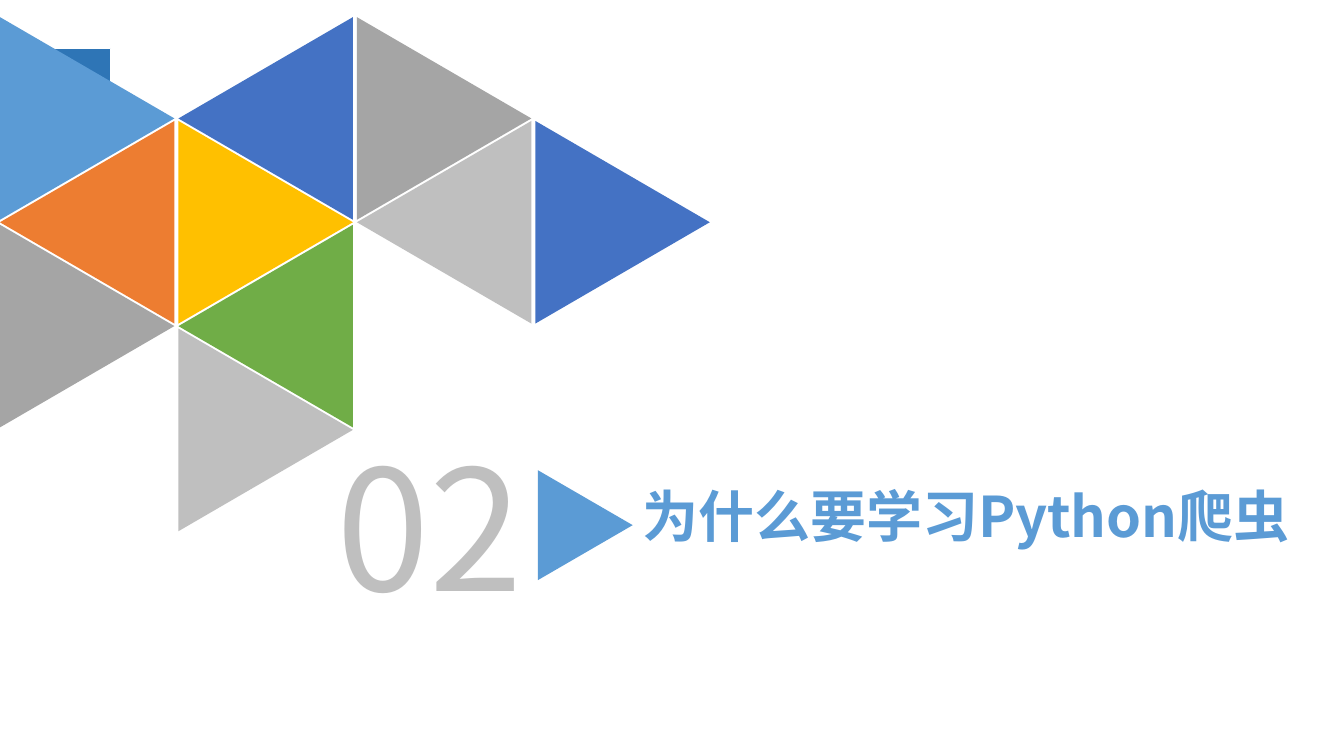
"""Build the section slide with a triangle mosaic, a number and a title."""
import dataclasses
import typing

import lxml.etree
import pptx
import pptx.dml.color
import pptx.enum.shapes
import pptx.enum.text
import pptx.oxml.ns
import pptx.util

RGB = pptx.dml.color.RGBColor
SHAPE = pptx.enum.shapes.MSO_SHAPE
ALIGN = pptx.enum.text.PP_ALIGN

PX = 9144
FONT = "Noto Sans CJK SC"
WHITE = RGB(0xFF, 0xFF, 0xFF)
NAVY = RGB(0x2E, 0x75, 0xB6)
SKY = RGB(0x5B, 0x9B, 0xD5)
ORANGE = RGB(0xED, 0x7D, 0x31)
GRAY = RGB(0xA5, 0xA5, 0xA5)
SILVER = RGB(0xBF, 0xBF, 0xBF)
BLUE = RGB(0x44, 0x72, 0xC4)
GOLD = RGB(0xFF, 0xC0, 0x00)
GREEN = RGB(0x70, 0xAD, 0x47)

RIGHT, LEFT = 90, 270
TILE_W, TILE_H = 201, 173
TILE_X, TILE_Y = -14, 31
STEP_X, STEP_Y = 177, 103


@dataclasses.dataclass(frozen=True)
class Box:
    """Position and size in px."""
    x: int
    y: int
    w: int
    h: int

    def emu(self) -> dict[str, int]:
        """Return the geometry as shape attributes."""
        return {"left": self.x * PX, "top": self.y * PX,
                "width": self.w * PX, "height": self.h * PX}


@dataclasses.dataclass(frozen=True)
class Tile:
    """One mosaic triangle on the column and row grid."""
    col: int
    row: int
    rotation: int
    color: RGB

    def box(self) -> Box:
        """Return the place of the tile before rotation."""
        return Box(TILE_X + self.col * STEP_X, TILE_Y + self.row * STEP_Y, TILE_W, TILE_H)


TILES = (
    Tile(0, 0, RIGHT, SKY),
    Tile(0, 1, LEFT, ORANGE),
    Tile(0, 2, RIGHT, GRAY),
    Tile(1, 0, LEFT, BLUE),
    Tile(1, 1, RIGHT, GOLD),
    Tile(1, 2, LEFT, GREEN),
    Tile(2, 0, RIGHT, GRAY),
    Tile(1, 3, RIGHT, SILVER),
    Tile(2, 1, LEFT, SILVER),
    Tile(3, 1, RIGHT, BLUE),
)


def apply(target: typing.Any, values: dict[str, typing.Any]) -> None:
    """Set each named attribute on the target."""
    for name, value in values.items():
        setattr(target, name, value)


def add_shape(s: typing.Any, kind: SHAPE, box: Box, color: RGB, rotation: int = 0) -> typing.Any:
    """Draw a flat filled shape without an outline."""
    sp = s.shapes.add_shape(kind, **box.emu())
    sp.rotation = rotation
    sp.shadow.inherit = False
    sp.fill.solid()
    sp.fill.fore_color.rgb = color
    sp.line.fill.background()
    return sp


def write_text(sp: typing.Any, text: str, size: int, color: RGB, bold: bool,
               align: ALIGN, spacing: float) -> None:
    """Fill a text shape with one formatted run."""
    tf = sp.text_frame
    apply(tf, {"word_wrap": True,
               "auto_size": pptx.enum.text.MSO_AUTO_SIZE.SHAPE_TO_FIT_TEXT,
               "vertical_anchor": pptx.enum.text.MSO_ANCHOR.TOP})
    p = tf.paragraphs[0]
    apply(p, {"alignment": align, "line_spacing": spacing})
    r = p.add_run()
    r.text = text
    apply(r.font, {"name": FONT, "size": pptx.util.Pt(size), "bold": bold})
    r.font.color.rgb = color
    ea = lxml.etree.SubElement(r.font._element, pptx.oxml.ns.qn("a:ea"))
    ea.set("typeface", FONT)


def main() -> None:
    """Build and save the slide."""
    prs = pptx.Presentation()
    apply(prs, {"slide_width": 1333 * PX, "slide_height": 750 * PX})
    s = prs.slides.add_slide(prs.slide_layouts[5])

    tab = add_shape(s, SHAPE.RECTANGLE, Box(0, 48, 110, 47), NAVY)
    tab.line.color.rgb = WHITE
    tab.line.width = pptx.util.Pt(0.75)

    title = s.shapes.title
    apply(title, Box(627, 480, 679, 81).emu())
    write_text(title, "为什么要学习Python爬虫", 40, SKY, True, ALIGN.LEFT, 0.9)

    number = s.shapes.add_textbox(**Box(276, 415, 300, 212).emu())
    write_text(number, "02", 120, SILVER, False, ALIGN.CENTER, 1.0)

    add_shape(s, SHAPE.ISOSCELES_TRIANGLE, Box(526, 474, 109, 94), SKY, RIGHT)
    for tile in TILES:
        add_shape(s, SHAPE.ISOSCELES_TRIANGLE, tile.box(), tile.color, tile.rotation)

    prs.save("out.pptx")


if __name__ == "__main__":
    main()
